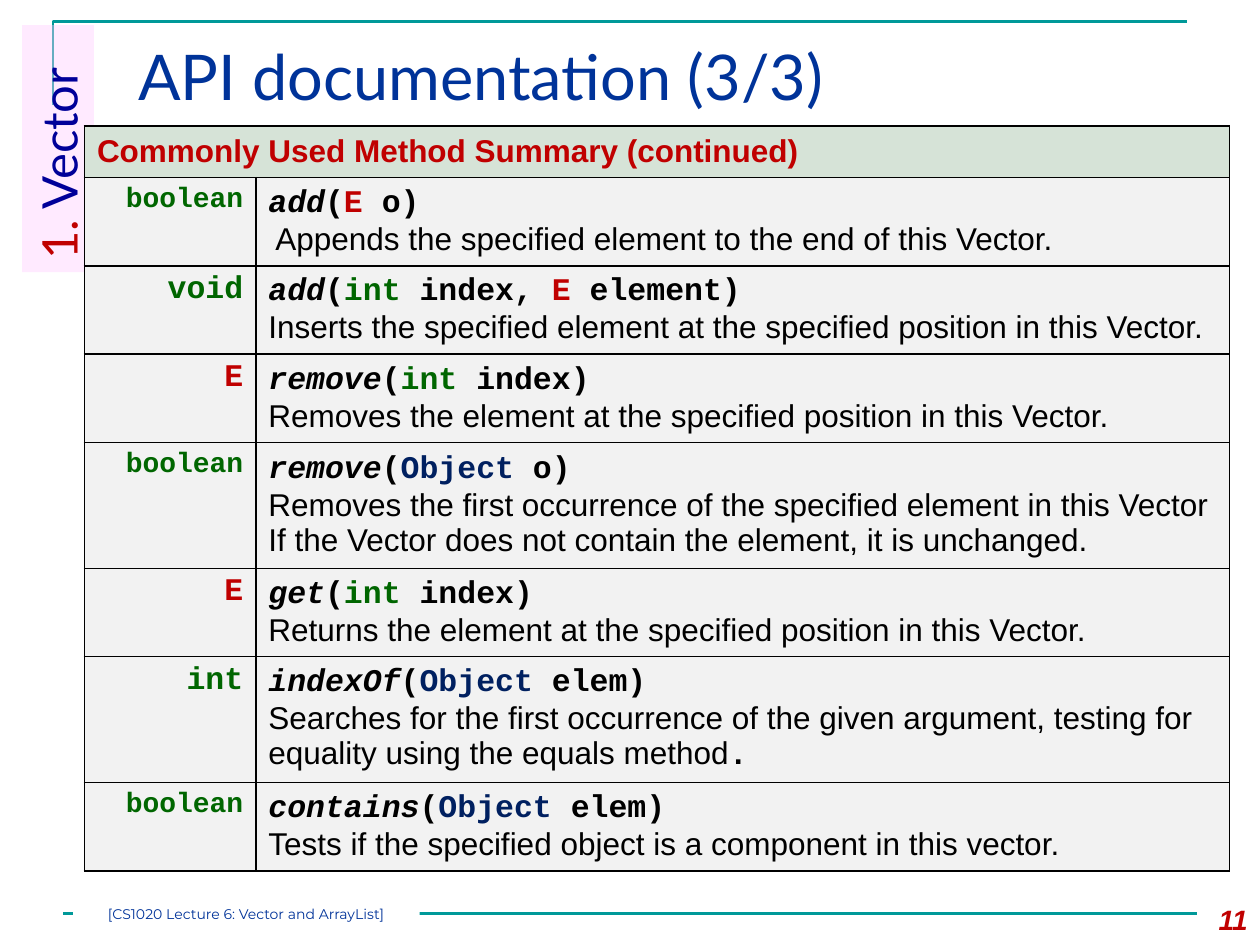
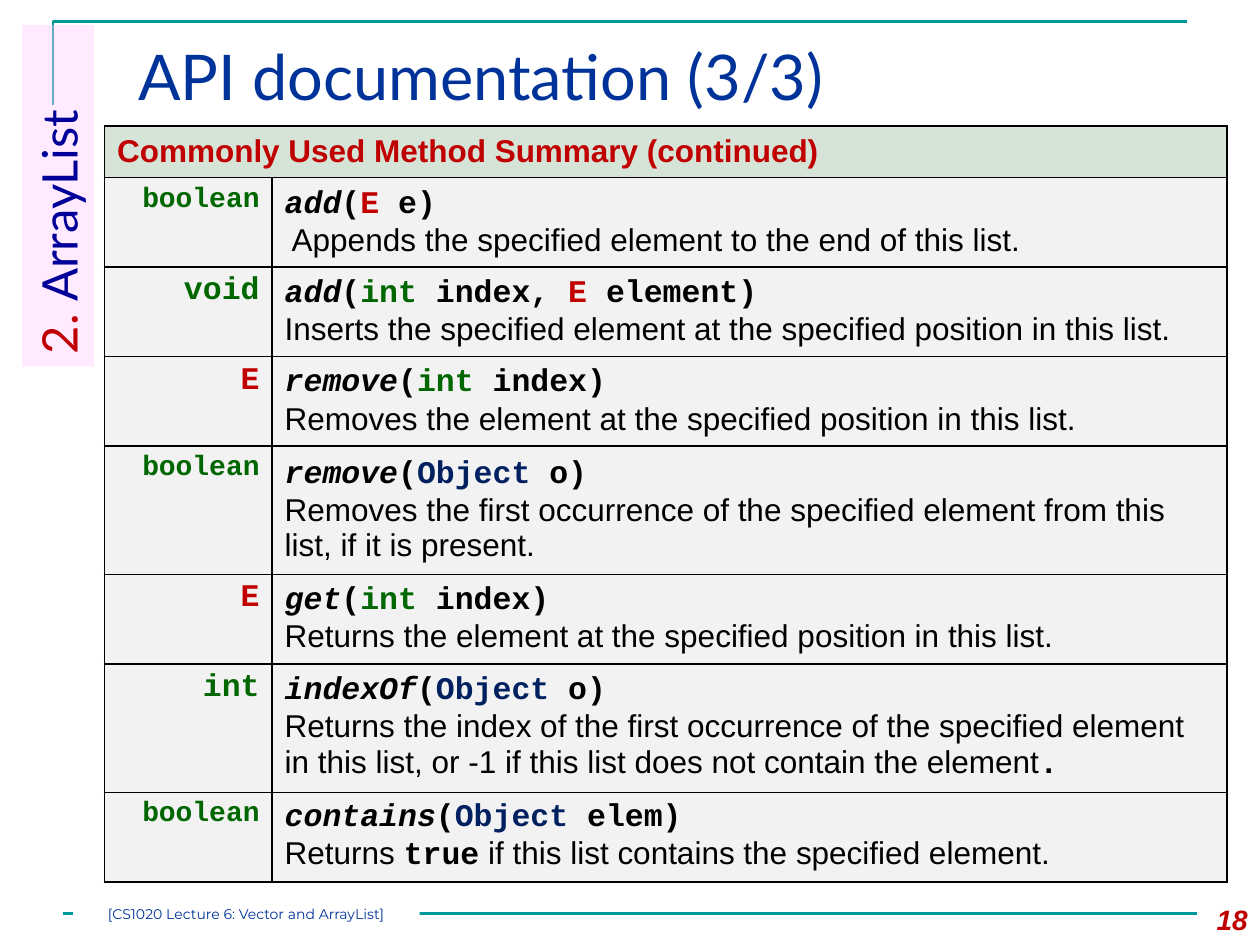
from lxml.etree import SubElement
from pptx import Presentation
from pptx.dml.color import RGBColor
from pptx.enum.shapes import MSO_CONNECTOR, MSO_SHAPE
from pptx.enum.text import MSO_ANCHOR, MSO_AUTO_SIZE, PP_ALIGN
from pptx.oxml import parse_xml
from pptx.oxml.ns import nsdecls, qn
from pptx.util import Inches, Pt

COLORS = {
    "rule": "009999", "title": "003399", "red": "C00000", "tab": "FFCCFF",
    "topic": "000099", "header": "D6E3D7", "body": "F2F2F2", "black": "000000",
    "green": "006600", "navy": "002060", "white": "FFFFFF",
}
RGB = {name: RGBColor.from_string(value) for name, value in COLORS.items()}
TYPE_COLORS = {"boolean": "green", "void": "green", "int": "green",
               "E": "red", "Object": "navy"}
CODE, PROSE, HEADING = "Courier New", "Arial", "Lato"

# Each method: return type, name, parameters, description (code between backticks)
INT_INDEX = [("int", "index")]
SLIDES = [
    {
        "number": "11", "tab": ("1.", " Vector"), "tab_length": 1.96,
        "table_left": 0.67, "columns": (1.36, 7.73), "row_heights": (0.7, 1.0),
        "methods": [
            ("boolean", "add", [("E", "o")],
             " Appends the specified element to the end of this Vector."),
            ("void", "add", INT_INDEX + [("E", "element")],
             "Inserts the specified element at the specified position in this Vector."),
            ("E", "remove", INT_INDEX,
             "Removes the element at the specified position in this Vector."),
            ("boolean", "remove", [("Object", "o")],
             "Removes the first occurrence of the specified element in this Vector "
             "If the Vector does not contain the element, it is unchanged."),
            ("E", "get", INT_INDEX,
             "Returns the element at the specified position in this Vector."),
            ("int", "indexOf", [("Object", "elem")],
             "Searches for the first occurrence of the given argument, testing for "
             "equality using the equals method`.`"),
            ("boolean", "contains", [("Object", "elem")],
             "Tests if the specified object is a component in this vector."),
        ],
    },
    {
        "number": "18", "tab": ("2. ", "ArrayList"), "tab_length": 2.71,
        "table_left": 0.83, "columns": (1.33, 7.58), "row_heights": (0.71, 1.02),
        "methods": [
            ("boolean", "add", [("E", "e")],
             " Appends the specified element to the end of this list."),
            ("void", "add", INT_INDEX + [("E", "element")],
             "Inserts the specified element at the specified position in this list."),
            ("E", "remove", INT_INDEX,
             "Removes the element at the specified position in this list."),
            ("boolean", "remove", [("Object", "o")],
             "Removes the first occurrence of the specified element from this list, "
             "if it is present."),
            ("E", "get", INT_INDEX,
             "Returns the element at the specified position in this list."),
            ("int", "indexOf", [("Object", "o")],
             "Returns the index of the first occurrence of the specified element "
             "in this list, or -1 if this list does not contain the element`.`"),
            ("boolean", "contains", [("Object", "elem")],
             "Returns `true` if this list contains the specified element."),
        ],
    },
]


def add_run(paragraph, text, font, size, color, bold=False, italic=False):
    run = paragraph.add_run()
    run.text = text
    run.font.name, run.font.size = font, Pt(size)
    run.font.bold, run.font.italic = bold, italic
    run.font.color.rgb = RGB[color]


def style_cell(cell, fill, anchor):
    cell.fill.solid()
    cell.fill.fore_color.rgb = RGB[fill]
    cell.vertical_anchor = anchor
    properties = cell._tc.get_or_add_tcPr()
    for position, side in enumerate("LRTB"):
        properties.insert(position, parse_xml(
            f'<a:ln{side} {nsdecls("a")} w="12700"><a:solidFill>'
            f'<a:srgbClr val="{COLORS["black"]}"/></a:solidFill></a:ln{side}>'))


presentation = Presentation()
presentation.slide_width, presentation.slide_height = Inches(10), Inches(7.5)

for content in SLIDES:
    slide = presentation.slides.add_slide(presentation.slide_layouts[6])
    shapes = slide.shapes

    # Corner frame and bottom rule
    builder = shapes.build_freeform(Inches(0.42), Inches(0.83))
    builder.add_line_segments([(Inches(0.42), Inches(0.17)),
                               (Inches(9.42), Inches(0.17))], close=False)
    frame = builder.convert_to_shape()
    frame.fill.background()
    frame.shadow.inherit = False
    rule = shapes.add_connector(MSO_CONNECTOR.STRAIGHT, Inches(0.5), Inches(7.25),
                                Inches(9.5), Inches(7.25))
    SubElement(rule._element.spPr, qn("a:effectLst"))
    for outline in (frame.line, rule.line):
        outline.color.rgb = RGB["rule"]
        outline.width = Pt(1.5)

    # Title
    title = shapes.add_textbox(Inches(1), Inches(0.25), Inches(8.5), Inches(0.86))
    title.text_frame.word_wrap = True
    add_run(title.text_frame.paragraphs[0], "API documentation (3/3)", HEADING, 36, "title")

    # Slide number
    number = shapes.add_textbox(Inches(9.33), Inches(7.1), Inches(0.67), Inches(0.4))
    number.text_frame.word_wrap = True
    number.text_frame.vertical_anchor = MSO_ANCHOR.MIDDLE
    paragraph = number.text_frame.paragraphs[0]
    paragraph.alignment = PP_ALIGN.RIGHT
    add_run(paragraph, content["number"], PROSE, 16, "red", bold=True, italic=True)

    # Section tab, turned to read upwards from a shared top edge
    length, thickness = content["tab_length"], 0.57
    tab = shapes.add_shape(
        MSO_SHAPE.RECTANGLE, Inches(0.46 - length / 2),
        Inches(0.2 + (length - thickness) / 2), Inches(length), Inches(thickness))
    tab.rotation = 270
    tab.shadow.inherit = False
    tab.line.fill.background()
    tab.fill.solid()
    tab.fill.fore_color.rgb = RGB["tab"]
    tab_color = tab._element.spPr.find(qn("a:solidFill")).find(qn("a:srgbClr"))
    SubElement(tab_color, qn("a:alpha")).set("val", "40000")
    tab.text_frame.word_wrap = False
    tab.text_frame.auto_size = MSO_AUTO_SIZE.SHAPE_TO_FIT_TEXT
    paragraph = tab.text_frame.paragraphs[0]
    paragraph.alignment = PP_ALIGN.LEFT
    for text, color in zip(content["tab"], ("red", "topic")):
        add_run(paragraph, text, HEADING, 28, color)

    # Method table: rows whose description wraps are taller
    methods = content["methods"]
    short, tall = content["row_heights"]
    heights = [0.41] + [tall if len(method[3]) > 80 else short for method in methods]
    table = shapes.add_table(
        len(heights), 2, Inches(content["table_left"]), Inches(1),
        Inches(sum(content["columns"])), Inches(sum(heights))).table
    for column, width in zip(table.columns, content["columns"]):
        column.width = Inches(width)
    for row, height in zip(table.rows, heights):
        row.height = Inches(height)

    header = table.cell(0, 0)
    header.merge(table.cell(0, 1))
    for cell in table.rows[0].cells:
        style_cell(cell, "header", MSO_ANCHOR.MIDDLE)
    add_run(header.text_frame.paragraphs[0], "Commonly Used Method Summary (continued)",
            PROSE, 18, "red", bold=True)

    for row, (return_type, name, parameters, description) in enumerate(methods, start=1):
        type_cell, method_cell = table.cell(row, 0), table.cell(row, 1)
        style_cell(type_cell, "body", MSO_ANCHOR.TOP)
        style_cell(method_cell, "body", MSO_ANCHOR.MIDDLE)

        paragraph = type_cell.text_frame.paragraphs[0]
        paragraph.alignment = PP_ALIGN.RIGHT
        add_run(paragraph, return_type, CODE, 16 if return_type == "boolean" else 18,
                TYPE_COLORS[return_type], bold=True)

        paragraph = method_cell.text_frame.paragraphs[0]
        add_run(paragraph, name, CODE, 18, "black", bold=True, italic=True)
        opening = "("
        for kind, parameter in parameters:
            add_run(paragraph, opening, CODE, 18, "black", bold=True)
            add_run(paragraph, kind, CODE, 18, TYPE_COLORS[kind], bold=True)
            add_run(paragraph, f" {parameter}", CODE, 18, "black", bold=True)
            opening = ", "
        add_run(paragraph, ")", CODE, 18, "black", bold=True)
        paragraph.add_line_break()
        for index, text in enumerate(description.split("`")):
            is_code = index % 2 == 1
            if text:
                add_run(paragraph, text, CODE if is_code else PROSE, 18, "black", bold=is_code)

    # Footer label over the bottom rule
    footer = shapes.add_shape(MSO_SHAPE.RECTANGLE, Inches(0.58), Inches(7.17),
                              Inches(2.75), Inches(0.17))
    footer.shadow.inherit = False
    footer.line.fill.background()
    footer.fill.solid()
    footer.fill.fore_color.rgb = RGB["white"]
    text_frame = footer.text_frame
    text_frame.margin_left = text_frame.margin_right = 0
    text_frame.margin_top = text_frame.margin_bottom = 0
    paragraph = text_frame.paragraphs[0]
    paragraph.alignment = PP_ALIGN.CENTER
    add_run(paragraph, "[CS1020 Lecture 6: Vector and ArrayList]", "Montserrat", 8, "title")

presentation.save("out.pptx")
